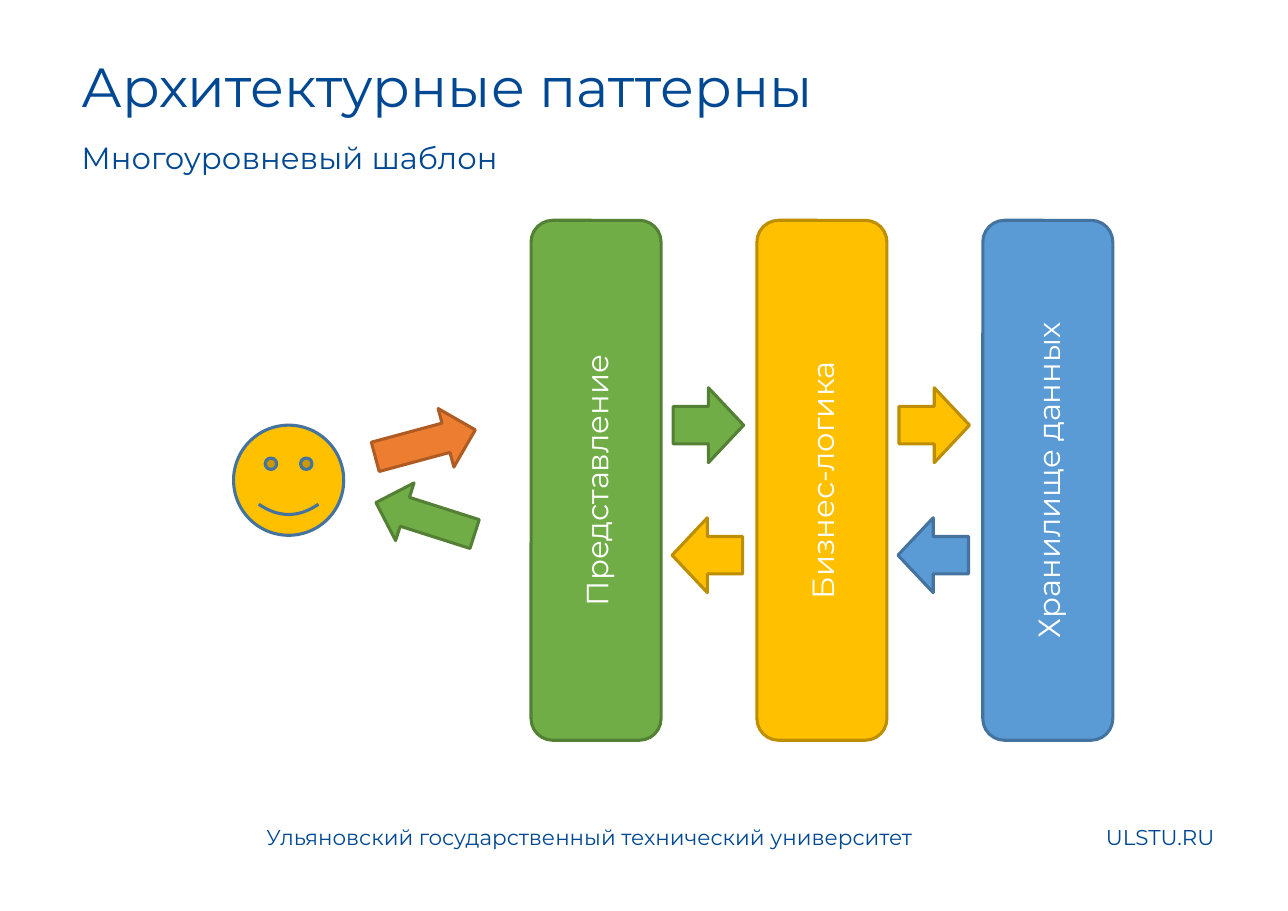
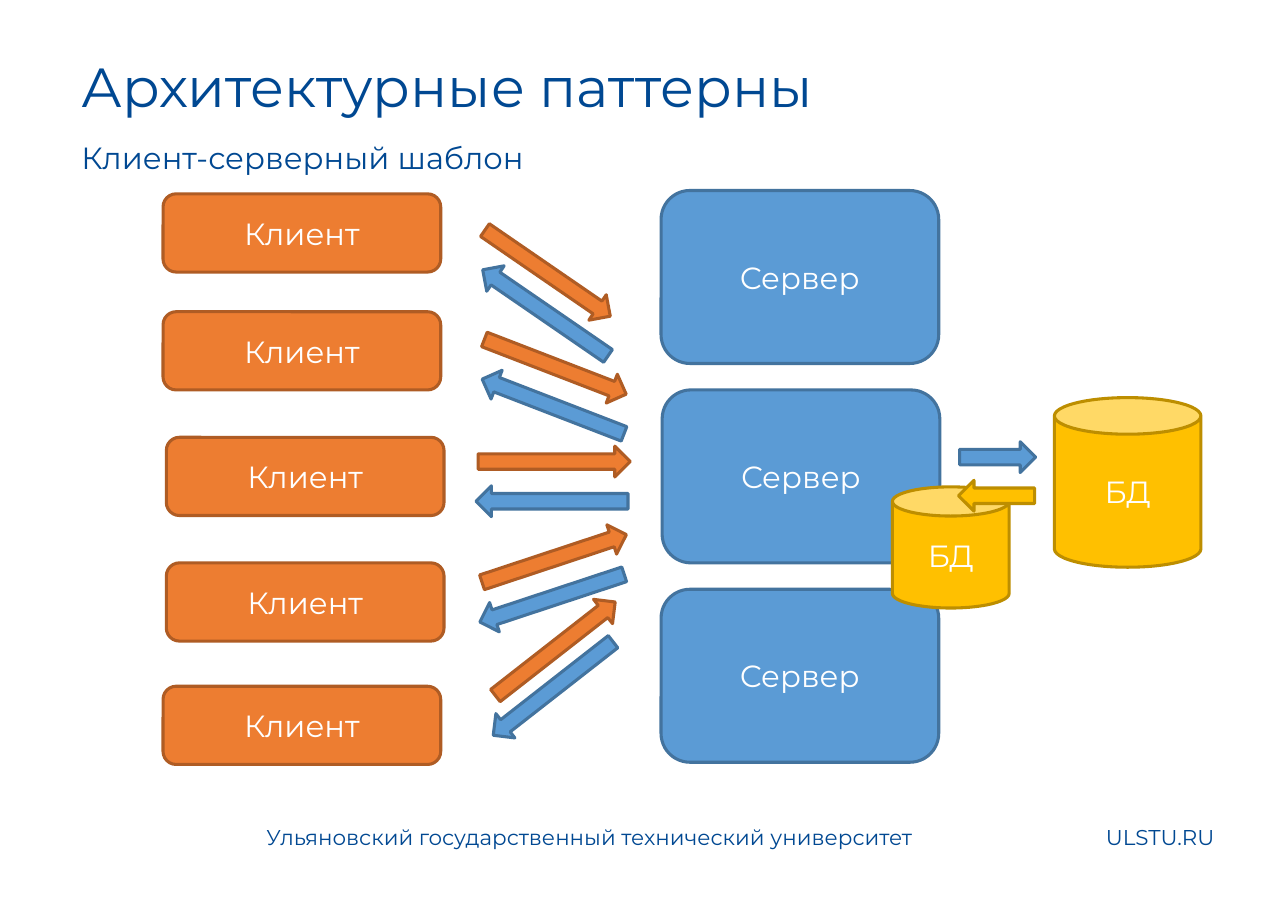
from pptx import Presentation
from pptx.dml.color import RGBColor
from pptx.enum.shapes import MSO_SHAPE
from pptx.enum.text import MSO_ANCHOR, PP_ALIGN
from pptx.util import Inches, Pt

NAVY, WHITE = "004892", "FFFFFF"
GREEN = ("70AD47", "538035")
GOLD = ("FFC000", "BD8E00")
BLUE = ("5B9BD5", "43739E")
ORANGE = ("ED7D31", "AF5C24")


def tint(code):
    """Turn a hex string into a colour."""
    return RGBColor.from_string(code)


class Deck:
    """Holds the shared style and the current slide."""

    def __init__(self):
        """Start an empty deck of the right size."""
        self.prs = Presentation()
        self.prs.slide_width = Inches(11.69)
        self.prs.slide_height = Inches(8.27)
        self.slide = None

    def add_text(self, para, words, size, color):
        """Add one styled run to a paragraph."""
        run = para.add_run()
        run.text = words
        run.font.name = "Montserrat"
        run.font.size = Pt(size)
        run.font.color.rgb = tint(color)

    def label(self, words, x, y, w, h, size):
        """Add a navy text box."""
        box = self.slide.shapes.add_textbox(*map(Inches, (x, y, w, h)))
        box.text_frame.word_wrap = True
        self.add_text(box.text_frame.paragraphs[0], words, size, NAVY)

    def page(self, topic):
        """Add a slide with title, topic and footer."""
        self.slide = self.prs.slides.add_slide(self.prs.slide_layouts[6])
        self.label("Архитектурные паттерны", 0.64, 0.43, 10.57, 0.79, 36)
        self.label("Ульяновский государственный технический университет",
                   2.32, 7.43, 6.2, 0.39, 14)
        self.label("ULSTU.RU", 9.94, 7.43, 1.4, 0.39, 14)
        self.label(topic, 0.64, 1.21, 10.57, 0.59, 20)

    def shape(self, kind, x, y, w, h, look, turn=0):
        """Add an outlined preset shape."""
        item = self.slide.shapes.add_shape(kind, *map(Inches, (x, y, w, h)))
        fill, line = look
        item.shadow.inherit = False
        item.fill.solid()
        item.fill.fore_color.rgb = tint(fill)
        item.line.color.rgb = tint(line)
        item.line.width = Pt(2)
        item.rotation = turn
        return item

    def block(self, words, x, y, w, h, look,
              kind=MSO_SHAPE.ROUNDED_RECTANGLE, upright=False):
        """Add a shape with centred white text."""
        frame = self.shape(kind, x, y, w, h, look).text_frame
        frame.word_wrap = True
        frame.vertical_anchor = MSO_ANCHOR.MIDDLE
        if upright:
            frame._txBody.bodyPr.set("vert", "vert270")
        para = frame.paragraphs[0]
        para.alignment = PP_ALIGN.CENTER
        self.add_text(para, words, 20, WHITE)

    def arrow(self, x, y, w, h, look, turn=0):
        """Add a block arrow turned by some degrees."""
        self.shape(MSO_SHAPE.RIGHT_ARROW, x, y, w, h, look, turn)


def layers(deck):
    """Draw the layered pattern."""
    deck.page("Многоуровневый шаблон")
    deck.shape(MSO_SHAPE.SMILEY_FACE, 2.12, 3.86, 1, 1, (GOLD[0], BLUE[1]))
    tiers = [("Представление", GREEN), ("Бизнес-логика", GOLD),
             ("Хранилище данных", BLUE)]
    step = 2.05
    for i, (name, look) in enumerate(tiers):
        deck.block(name, 4.82 + i * step, 2, 1.18, 4.72, look, upright=True)
    for i in range(len(tiers) - 1):
        deck.arrow(6.11 + i * step, 3.52, 0.64, 0.68, tiers[i][1])
        deck.arrow(6.1 + i * step, 4.7, 0.64, 0.68, tiers[i + 1][1], 180)
    deck.arrow(3.39, 3.75, 0.94, 0.55, ORANGE, 344.9)
    deck.arrow(3.39, 4.43, 0.94, 0.55, GREEN, 197.7)


def network(deck):
    """Draw the client and server pattern."""
    deck.page("Клиент-серверный шаблон")
    for i, x in enumerate((6, 6.01, 6)):
        deck.block("Сервер", x, 1.73 + i * 1.81, 2.52, 1.57, BLUE)
    for x, y in ((1.48, 1.76), (1.48, 2.83), (1.51, 3.97),
                 (1.51, 5.11), (1.48, 6.23)):
        deck.block("Клиент", x, y, 2.52, 0.71, ORANGE)
    for x, y, turn in ((4.28, 2.34, 34.5), (4.35, 3.19, 21.1), (4.34, 4.05, 0),
                       (4.34, 4.93, 341.7), (4.35, 5.75, 322)):
        deck.arrow(x, y, 1.38, 0.28, ORANGE, turn)
        deck.arrow(x - 0.02, y + 0.36, 1.38, 0.28, BLUE, (turn + 180) % 360)
    for x, y, w, h in ((8.1, 4.42, 1.06, 1.1), (9.57, 3.61, 1.33, 1.54)):
        deck.block("БД", x, y, w, h, GOLD, MSO_SHAPE.CAN)
    deck.arrow(8.7, 4.36, 0.69, 0.28, GOLD, 180)
    deck.arrow(8.71, 4.01, 0.69, 0.28, BLUE)


def main():
    """Build and save the deck."""
    deck = Deck()
    layers(deck)
    network(deck)
    deck.prs.save("out.pptx")


if __name__ == "__main__":
    main()
